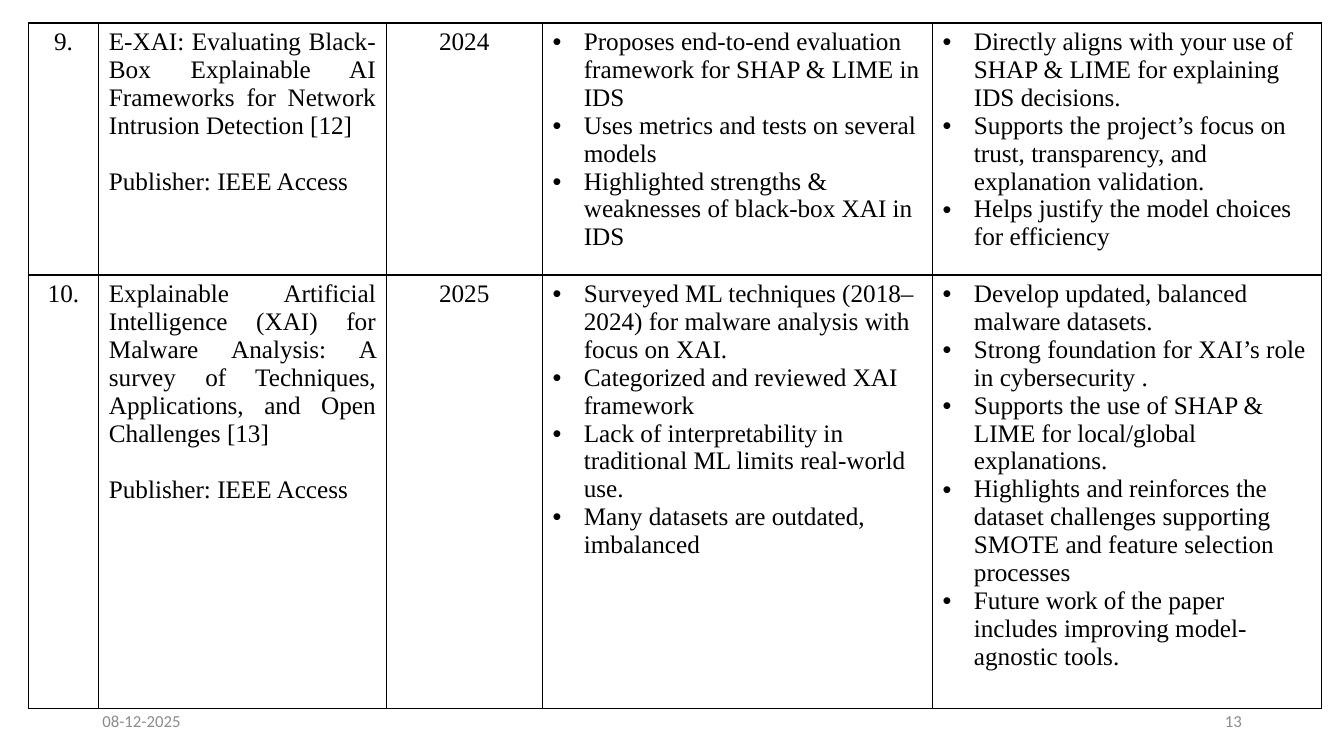
from dataclasses import dataclass

from lxml.etree import SubElement
from pptx import Presentation
from pptx.dml.color import RGBColor
from pptx.enum.text import MSO_ANCHOR, PP_ALIGN
from pptx.oxml.ns import qn
from pptx.slide import Slide
from pptx.table import _Cell
from pptx.text.text import _Paragraph
from pptx.util import Cm, Pt

COLOURS = {"ink": "000000", "grey": "8C8C8C"}
BODY = {"name": "Times New Roman", "size": Pt(18)}
SMALL = {"name": "Calibri", "size": Pt(12)}
WIDTHS = (1.78, 7.24, 3.94, 9.83, 9.8)
HEIGHTS = (6.25, 10.85)
INDENT = Cm(0.79)


@dataclass
class Paper:
    number: str
    title: str
    venue: str
    year: str
    points: list[str]
    uses: list[str]


@dataclass
class Footer:
    text: str
    left: float
    align: PP_ALIGN


PAPERS = [
    Paper(
        "9.",
        "E-XAI: Evaluating Black-Box Explainable AI Frameworks for Network "
        "Intrusion Detection [12]",
        "Publisher: IEEE Access",
        "2024",
        ["Proposes end-to-end evaluation framework for SHAP & LIME in IDS",
         "Uses metrics and tests on several models",
         "Highlighted strengths & weaknesses of black-box XAI in IDS"],
        ["Directly aligns with your use of SHAP & LIME for explaining IDS decisions.",
         "Supports the project’s focus on trust, transparency, and explanation validation.",
         "Helps justify the model choices for efficiency"],
    ),
    Paper(
        "10.",
        "Explainable Artificial Intelligence (XAI) for Malware Analysis: A survey "
        "of Techniques, Applications, and Open Challenges [13]",
        "Publisher: IEEE Access",
        "2025",
        ["Surveyed ML techniques (2018–2024) for malware analysis with focus on XAI.",
         "Categorized and reviewed XAI framework",
         "Lack of interpretability in traditional ML limits real-world use.",
         "Many datasets are outdated, imbalanced"],
        ["Develop updated, balanced malware datasets.",
         "Strong foundation for XAI’s role in cybersecurity .",
         "Supports the use of SHAP & LIME for local/global explanations.",
         "Highlights and reinforces the dataset challenges supporting SMOTE and "
         "feature selection processes",
         "Future work of the paper includes improving model-agnostic tools."],
    ),
]
FOOTERS = [
    Footer("08-12-2025", 2.33, PP_ALIGN.LEFT),
    Footer("13", 23.93, PP_ALIGN.RIGHT),
]


def style(para: _Paragraph, look: dict, colour: str) -> None:
    for key, value in look.items():
        setattr(para.font, key, value)
    para.font.color.rgb = RGBColor.from_string(COLOURS[colour])


def bullet(para: _Paragraph) -> None:
    props = para._p.get_or_add_pPr()
    props.set("marL", str(INDENT))
    props.set("indent", str(-INDENT))
    SubElement(props, qn("a:buFont"), typeface="Arial")
    SubElement(props, qn("a:buChar"), char="•")


def border(cell: _Cell) -> None:
    props = cell._tc.get_or_add_tcPr()
    for side in ("lnL", "lnR", "lnT", "lnB"):
        line = SubElement(props, qn(f"a:{side}"), w=str(Pt(1)))
        fill = SubElement(line, qn("a:solidFill"))
        SubElement(fill, qn("a:srgbClr"), val=COLOURS["ink"])


def write(cell: _Cell, lines: list[str], align: PP_ALIGN, dots: bool = False,
          gap: float = 0) -> None:
    border(cell)
    cell.fill.background()
    frame = cell.text_frame
    for i, text in enumerate(lines):
        para = frame.add_paragraph() if i else frame.paragraphs[0]
        para.text = text
        para.alignment = align
        if i and gap:
            para.space_before = Pt(gap)
        if dots:
            bullet(para)
        style(para, BODY, "ink")


def add_grid(slide: Slide) -> None:
    table = slide.shapes.add_table(
        len(PAPERS), len(WIDTHS), Cm(0.71), Cm(0.58),
        Cm(sum(WIDTHS)), Cm(sum(HEIGHTS))).table
    table.first_row = table.horz_banding = False
    for col, width in zip(table.columns, WIDTHS):
        col.width = Cm(width)
    for row, height, paper in zip(table.rows, HEIGHTS, PAPERS):
        row.height = Cm(height)
        number, title, year, points, uses = row.cells
        write(number, [paper.number], PP_ALIGN.CENTER)
        write(title, [paper.title, paper.venue], PP_ALIGN.JUSTIFY, gap=20)
        write(year, [paper.year], PP_ALIGN.CENTER)
        write(points, paper.points, PP_ALIGN.LEFT, dots=True)
        write(uses, paper.uses, PP_ALIGN.LEFT, dots=True)


def add_footer(slide: Slide, item: Footer) -> None:
    box = slide.shapes.add_textbox(Cm(item.left), Cm(17.65), Cm(7.62), Cm(1.02))
    frame = box.text_frame
    frame.word_wrap = True
    frame.vertical_anchor = MSO_ANCHOR.MIDDLE
    para = frame.paragraphs[0]
    para.text = item.text
    para.alignment = item.align
    style(para, SMALL, "grey")


def main() -> None:
    deck = Presentation()
    deck.slide_width, deck.slide_height = Cm(33.87), Cm(19.05)
    slide = deck.slides.add_slide(deck.slide_layouts[6])
    # Footer texts sit behind the table
    for item in FOOTERS:
        add_footer(slide, item)
    # Literature table
    add_grid(slide)
    deck.save("out.pptx")


if __name__ == "__main__":
    main()
